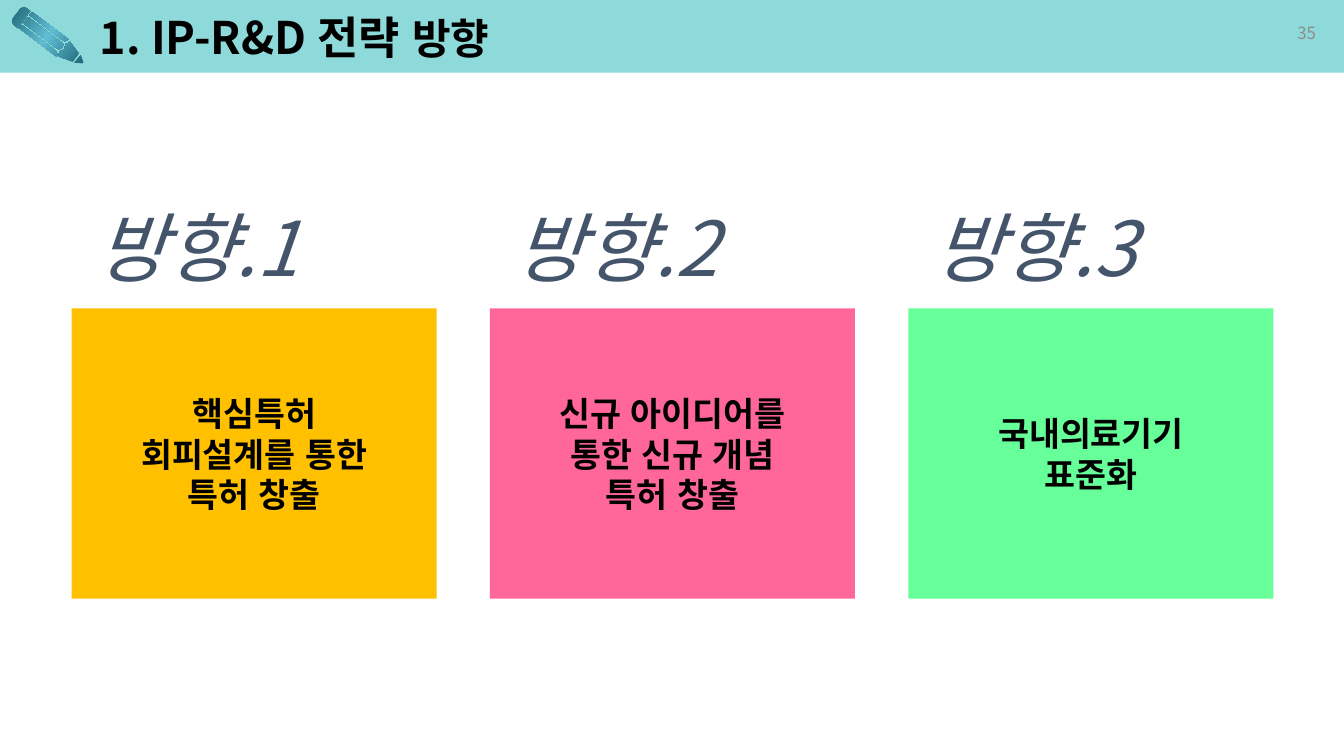
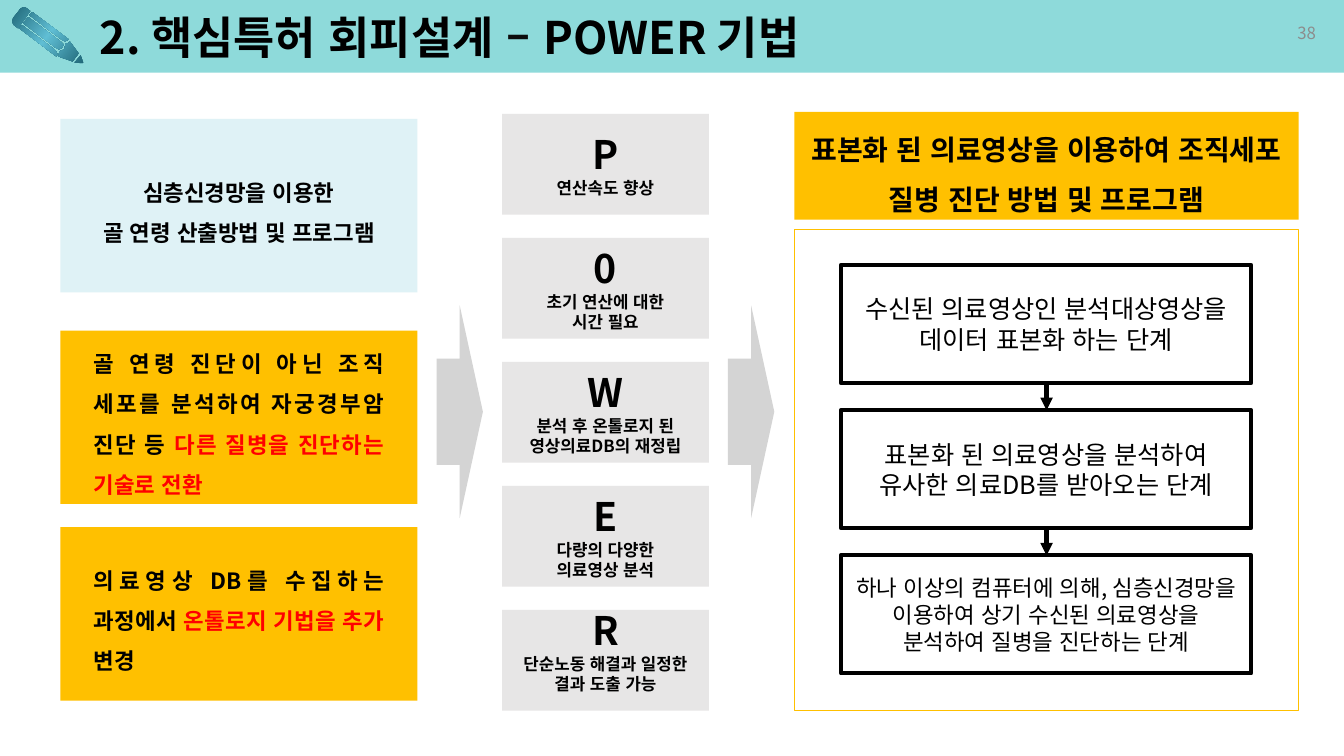
from lxml import etree
from pptx import Presentation
from pptx.dml.color import RGBColor
from pptx.enum import lang, shapes, text
from pptx.oxml import ns
from pptx.util import Inches, Pt

FONT = "Noto Sans CJK KR"
BLACK = RGBColor(0x00, 0x00, 0x00)
WHITE = RGBColor(0xFF, 0xFF, 0xFF)
INK = RGBColor(0x0C, 0x0C, 0x0C)
RED = RGBColor(0xFF, 0x00, 0x00)
NUMBER = RGBColor(0x8C, 0x8C, 0x8C)
SLATE = RGBColor(0x44, 0x54, 0x6A)
BAND = RGBColor(0x8E, 0xDA, 0xDA)
AMBER = RGBColor(0xFF, 0xC0, 0x00)
PINK = RGBColor(0xFF, 0x66, 0x99)
GREEN = RGBColor(0x66, 0xFF, 0x99)
ICE = RGBColor(0xDF, 0xF2, 0xF6)
PALE = RGBColor(0xE7, 0xE6, 0xE6)
ARROW = RGBColor(0xD4, 0xD4, 0xD4)
RECT = shapes.MSO_SHAPE.RECTANGLE
CENTER, LEFT = text.PP_ALIGN.CENTER, text.PP_ALIGN.LEFT
RIGHT, JUSTIFY = text.PP_ALIGN.RIGHT, text.PP_ALIGN.JUSTIFY


def write(sp, paras, size=16, color=BLACK, bold=False, italic=False,
          align=CENTER, spacing=None, wrap=True, inset=0.1):
    """Fill a shape; a paragraph is a string or a list of (text, size, color)."""
    tf = sp.text_frame
    tf.word_wrap = wrap
    tf.auto_size = text.MSO_AUTO_SIZE.NONE
    tf.vertical_anchor = text.MSO_ANCHOR.MIDDLE
    tf.margin_left = tf.margin_right = Inches(inset)
    for i, para in enumerate(paras):
        p = tf.add_paragraph() if i else tf.paragraphs[0]
        p.alignment = align
        p.line_spacing = spacing
        runs = [(para, size, color)] if isinstance(para, str) else para
        for content, run_size, run_color in runs:
            r = p.add_run()
            r.text = content
            f = r.font
            f.size, f.bold, f.italic, f.name = Pt(run_size), bold, italic, FONT
            f.language_id = lang.MSO_LANGUAGE_ID.KOREAN
            f.color.rgb = run_color
            ea = etree.SubElement(r._r.get_or_add_rPr(), ns.qn("a:ea"))
            ea.set("typeface", FONT)


def add_box(s, x, y, w, h, fill=None, line=None, weight=1, kind=RECT):
    sp = s.shapes.add_shape(kind, Inches(x), Inches(y), Inches(w), Inches(h))
    sp.shadow.inherit = False
    if fill is None:
        sp.fill.background()
    else:
        sp.fill.solid()
        sp.fill.fore_color.rgb = fill
    if line is None:
        sp.line.fill.background()
    else:
        sp.line.color.rgb = line
        sp.line.width = Pt(weight)
    return sp


prs = Presentation()
prs.slide_width, prs.slide_height = Inches(13.33), Inches(7.5)
layout = prs.slide_layouts[5]

# Shared title position; the layout keeps only the title
for ph in list(layout.placeholders):
    if ph.placeholder_format.type == shapes.PP_PLACEHOLDER.TITLE:
        ph.left, ph.top = Inches(0.89), Inches(0.11)
        ph.width, ph.height = Inches(10.87), Inches(0.58)
    else:
        ph.element.getparent().remove(ph.element)

# Titles and page numbers
headers = [
    ("35", [("1. IP-R&D 전략 ", 32, BLACK), ("방향", 30, BLACK)]),
    ("38", [("2. 핵심특허 회피설계 ", 32, BLACK), ("– ", 32, INK),
            ("POWER 기법", 32, BLACK)]),
]
slides = []
for number, title in headers:
    s = prs.slides.add_slide(layout)
    write(s.shapes.title, [title], bold=True, align=LEFT, spacing=0.9)
    tb = s.shapes.add_textbox(Inches(11.97), Inches(0.13), Inches(1.18), Inches(0.4))
    write(tb, [number], size=12, color=NUMBER, align=RIGHT)
    slides.append(s)
directions, power = slides

# Band and pencil, moved to the layout; outlines are in hundredths of an inch
band = add_box(directions, 0, 0, 13.33, 0.72, BAND)
pencil_parts = [
    [(80, 55), (74, 62), (83, 63)],
    [(69, 41), (68, 43), (65, 43), (64, 49), (59, 51), (58, 56), (72, 61), (78, 53)],
    [(22, 25), (19, 28), (56, 56), (57, 54), (55, 50)],
    [(28, 17), (23, 23), (56, 48), (59, 49), (62, 47), (63, 44), (61, 42)],
    [(32, 12), (29, 15), (62, 40), (65, 41), (68, 39)],
    [(23, 7), (20, 9), (13, 18), (12, 22), (14, 25), (18, 28), (30, 11), (26, 8)],
]
fb = directions.shapes.build_freeform(*pencil_parts[0][0], scale=Inches(0.01))
for i, part in enumerate(pencil_parts):
    if i:
        fb.move_to(*part[0])
    fb.add_line_segments(part[1:], close=True)
pencil = fb.convert_to_shape()
pencil.shadow.inherit = False
pencil.line.fill.background()
pencil.fill.gradient()
grad = pencil.element.spPr.find(ns.qn("a:gradFill"))
for child in list(grad):
    grad.remove(child)
stops = etree.SubElement(grad, ns.qn("a:gsLst"))
for pos, rgb in ((0, "206879"), (50, "60BED4"), (100, "206879")):
    gs = etree.SubElement(stops, ns.qn("a:gs"), pos=str(pos * 1000))
    etree.SubElement(gs, ns.qn("a:srgbClr"), val=rgb)
etree.SubElement(grad, ns.qn("a:lin"), ang=str(37 * 60000), scaled="0")
for i, sp in enumerate((band, pencil)):
    sp.element.nvSpPr.cNvPr.set("id", str(20 + i))
    layout.shapes.element.insert(2 + i, sp.element)

# Slide 1: three direction cards
cards = [
    (AMBER, ["핵심특허 회피설계를 통한 특허 창출"]),
    (PINK, ["신규 아이디어를 통한 신규 개념", "특허 창출"]),
    (GREEN, ["국내의료기기", "표준화"]),
]
for i, (fill, lines) in enumerate(cards):
    x = 0.71 + 4.15 * i
    card = add_box(directions, x, 3.06, 3.62, 2.88, fill)
    write(card, lines, size=24, bold=True, inset=0.39)
    tb = directions.shapes.add_textbox(Inches(x), Inches(1.94), Inches(2.5), Inches(1.01))
    write(tb, [f"방향.{i + 1}"], size=54, color=SLATE, italic=True, wrap=False)

# Slide 2: starting points on the left
sources = [
    (1.18, ICE, CENTER, 0.1, ["심층신경망을 이용한", "골 연령 산출방법 및 프로그램"]),
    (3.28, AMBER, JUSTIFY, 0.33, [[
        ("골 연령 진단이 아닌 조직 세포를 분석하여 자궁경부암 진단 등 ", 16, BLACK),
        ("다른 질병을 진단하는 기술로 전환", 16, RED)]]),
    (5.23, AMBER, JUSTIFY, 0.33, [[
        ("의료영상 DB를 수집하는 과정에서 ", 16, BLACK),
        ("온톨로지 기법을 추가 ", 16, RED), ("변경", 16, BLACK)]]),
]
for y, fill, align, inset, paras in sources:
    sp = add_box(power, 0.6, y, 3.54, 1.72, fill)
    write(sp, paras, bold=True, align=align, spacing=1.5, inset=inset)

# POWER column
letters = [
    ("P", ["연산속도 향상"]),
    ("0", ["초기 연산에 대한", "시간 필요"]),
    ("W", ["분석 후 온톨로지 된 영상의료DB의 재정립"]),
    ("E", ["다량의 다양한", "의료영상 분석"]),
    ("R", ["단순노동 해결과 일정한 결과 도출 가능"]),
]
for i, (letter, lines) in enumerate(letters):
    sp = add_box(power, 4.98, 1.13 + 1.23 * i, 2.05, 1, PALE)
    write(sp, [[(letter, 28, BLACK)]] + lines, size=12, bold=True)
# The last card sits slightly higher
sp.text_frame.margin_top, sp.text_frame.margin_bottom = 0, Inches(0.2)

# Block arrows between the columns
for x in (4.33, 7.22):
    add_box(power, x, 3.03, 0.46, 2.11, ARROW, kind=shapes.MSO_SHAPE.RIGHT_ARROW)

# Result heading and frame
sp = add_box(power, 7.88, 1.11, 5, 1.07, AMBER)
write(sp, ["표본화 된 의료영상을 이용하여 조직세포 질병 진단 방법 및 프로그램"],
      size=20, bold=True, spacing=1.5)
add_box(power, 7.88, 2.28, 5, 4.77, line=AMBER)

# Result steps joined by arrows
steps = [
    (18, "수신된 의료영상인 분석대상영상을 데이터 표본화 하는 단계"),
    (18, "표본화 된 의료영상을 분석하여 유사한 의료DB를 받아오는 단계"),
    (16, "하나 이상의 컴퓨터에 의해, 심층신경망을 이용하여 상기 수신된 "
         "의료영상을 분석하여 질병을 진단하는 단계"),
]
STEP_H, STEP_PITCH = 1.17, 1.44
for i, (size, step) in enumerate(steps):
    y = 2.63 + STEP_PITCH * i
    sp = add_box(power, 8.34, y, 4.07, STEP_H, WHITE, BLACK, 3)
    write(sp, [step], size=size)
    if i:
        cx = power.shapes.add_connector(
            shapes.MSO_CONNECTOR.STRAIGHT, Inches(10.38),
            Inches(y - STEP_PITCH + STEP_H), Inches(10.38), Inches(y))
        cx.line.color.rgb = BLACK
        cx.line.width = Pt(3)
        etree.SubElement(cx.line._get_or_add_ln(), ns.qn("a:tailEnd"), type="triangle")
        etree.SubElement(cx.element.spPr, ns.qn("a:effectLst"))

prs.save("out.pptx")
